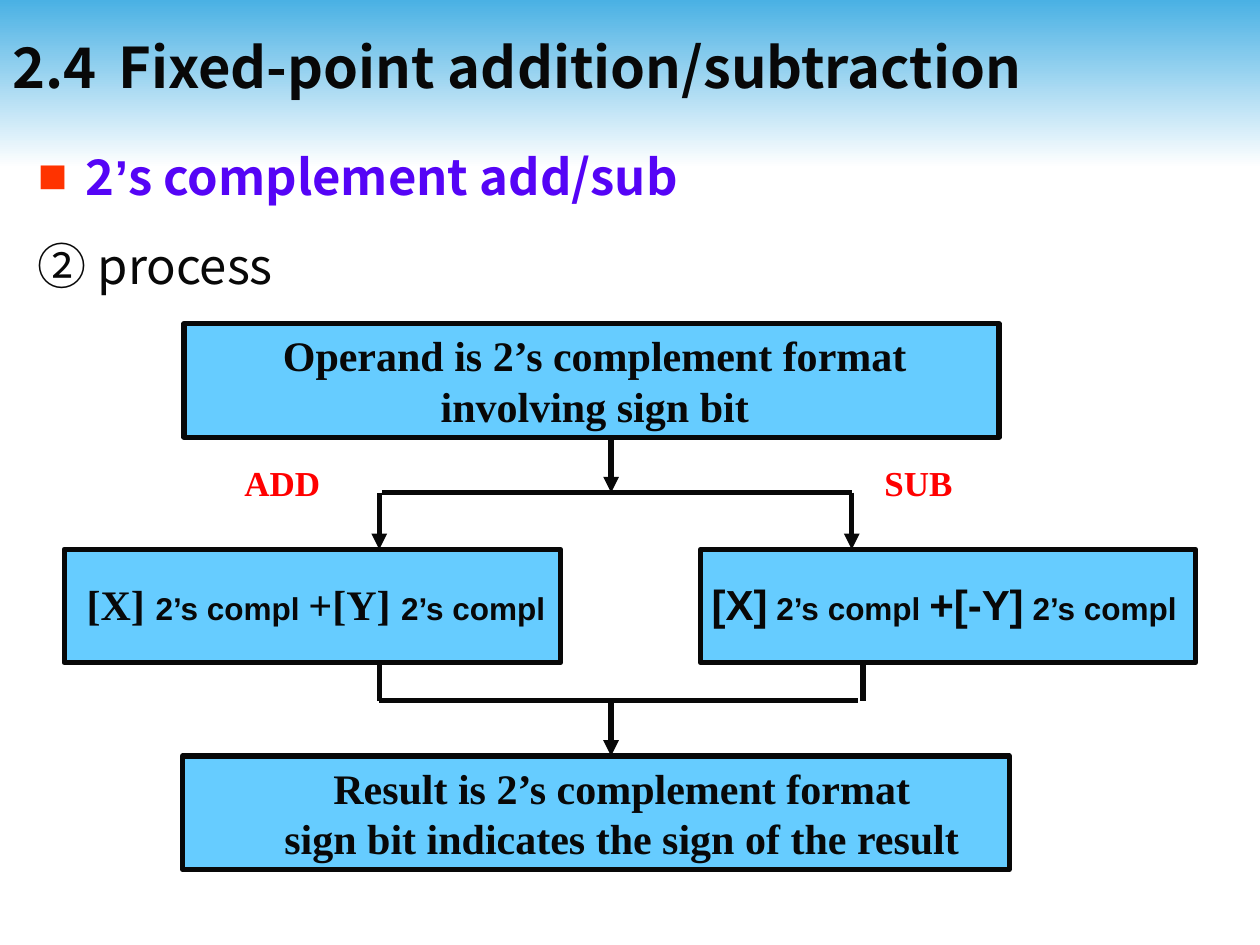
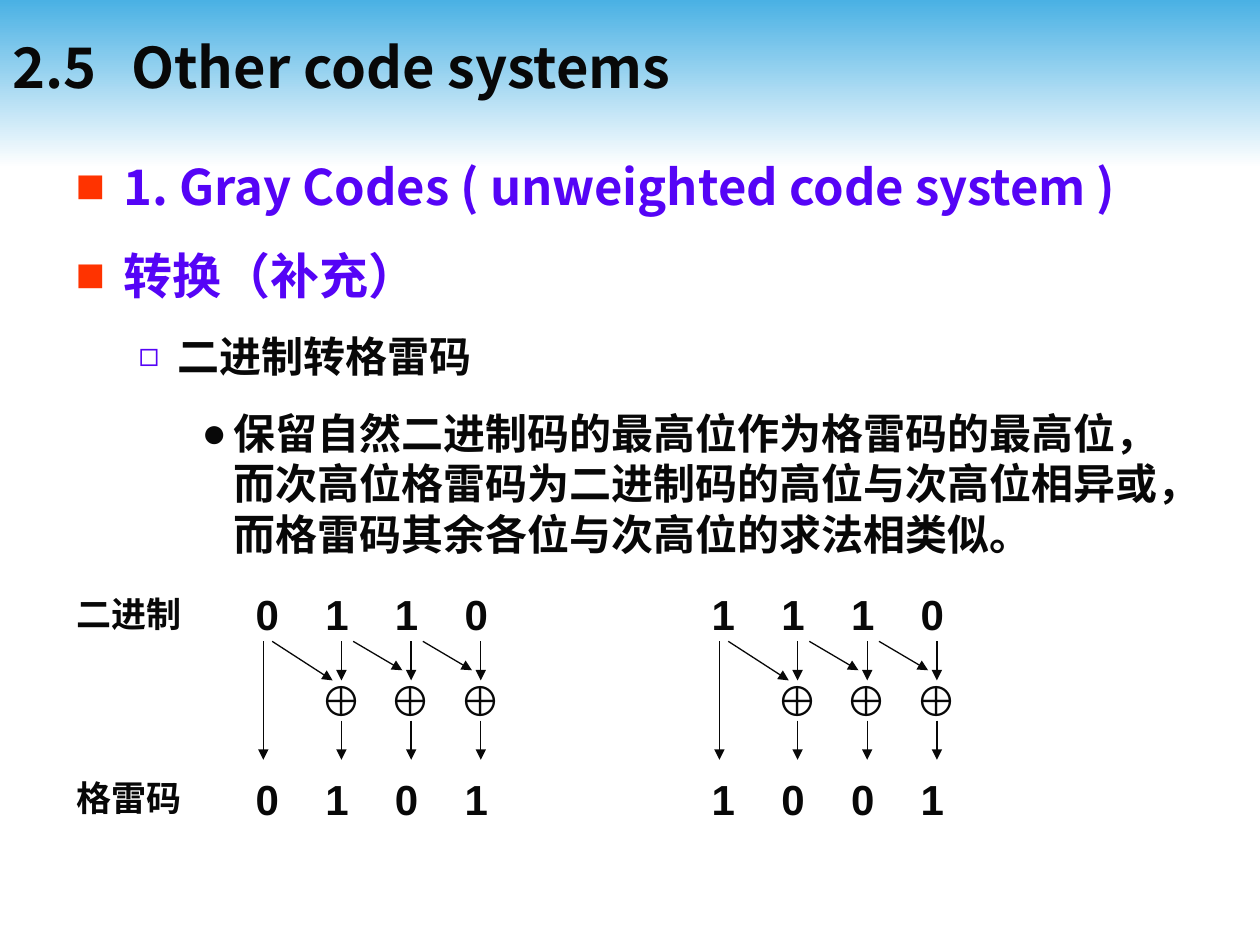
from lxml.etree import SubElement
from pptx import Presentation
from pptx.dml.color import RGBColor
from pptx.enum.shapes import MSO_CONNECTOR as Connector, MSO_SHAPE as Shape
from pptx.enum.text import MSO_ANCHOR as Anchor, MSO_AUTO_SIZE as AutoSize, PP_ALIGN as Align
from pptx.oxml.ns import qn
from pptx.util import Inches, Pt

COLUMNS, ROWS = 100, 75
CELL = Inches(0.1)
SANS, SERIF, CJK = "Arial", "Times New Roman", "Noto Sans CJK JP"
INK, PURPLE, RED, ORANGE = "080808", "5504F6", "FF0000", "FF3300"
SKY, BAND, WHITE = "66CCFF", "4AB1E4", "FFFFFF"
LEADING = 1.2


def color(value):
    return RGBColor.from_string(value)


def cells(*values):
    return [round(value * CELL) for value in values]


def write(paragraph, text, size=24, font=SANS, ink=INK, bold=True, align=Align.LEFT, before=0):
    runs = [(text, {})] if isinstance(text, str) else text
    sizes = []
    for words, changes in runs:
        run = paragraph.add_run()
        run.text = words
        sizes.append(changes.get("size", size))
        run.font.size = Pt(sizes[-1])
        run.font.name = changes.get("font", font)
        run.font.bold = bold
        run.font.color.rgb = color(ink)
        SubElement(run.font._element, qn("a:ea"), typeface=CJK)
    paragraph.alignment = align
    paragraph.line_spacing = Pt(LEADING * max(sizes))
    paragraph.space_before = Pt(before)
    paragraph.space_after = Pt(0)


def add_tabs(paragraph, *stops):
    tab_list = SubElement(paragraph._p.get_or_add_pPr(), qn("a:tabLst"))
    for stop in cells(*stops):
        SubElement(tab_list, qn("a:tab"), pos=str(stop), algn="l")


def add_bullet(paragraph, symbol, ink, percent, margin, hanging):
    properties = paragraph._p.get_or_add_pPr()
    left, indent = cells(margin, -hanging)
    properties.set("marL", str(left))
    properties.set("indent", str(indent))
    if not symbol:
        SubElement(properties, qn("a:buNone"))
        return
    bullet_color = SubElement(properties, qn("a:buClr"))
    SubElement(bullet_color, qn("a:srgbClr"), val=ink)
    SubElement(properties, qn("a:buSzPct"), val=str(percent * 1000))
    SubElement(properties, qn("a:buFont"), typeface=SANS)
    SubElement(properties, qn("a:buChar"), char=symbol)


class Deck:
    levels = {
        "heading": dict(bullet=("■", ORANGE, 100, 3.8, 3.8), level=0,
                        style=dict(size=28, font=CJK, ink=PURPLE), before=17.5),
        "plain": dict(bullet=(None, None, None, 3.8, 3.8), level=0,
                      style=dict(size=28, font=CJK, bold=False), before=17.5),
        "topic": dict(bullet=("◻", PURPLE, 80, 8.1, 3.1), level=1,
                      style=dict(font=SERIF), before=15),
        "detail": dict(bullet=("●", INK, 100, 12.5, 2.5), level=2,
                       style=dict(font=SANS), before=15),
    }

    def __init__(self):
        self.presentation = Presentation()
        self.presentation.slide_width, self.presentation.slide_height = cells(COLUMNS, ROWS)
        self.slide = self.shapes = None

    def add_band(self):
        band = self.rectangle(0, 0, COLUMNS, 13.3)
        band.line.fill.background()
        band.fill.gradient()
        band.fill.gradient_angle = 270
        for stop, value in zip(band.fill.gradient_stops, (BAND, WHITE)):
            stop.color.rgb = color(value)
        self.presentation.slide_master.shapes.element.insert(2, band.element)

    def new_slide(self, number, title, title_stop):
        first = self.slide is None
        self.slide = self.presentation.slides.add_slide(self.presentation.slide_layouts[1])
        self.shapes = self.slide.shapes
        if first:
            self.add_band()
        frame = self.place(self.shapes.title, 0, 0.5, 95.1, 9.5)
        frame.vertical_anchor = Anchor.MIDDLE
        add_tabs(frame.paragraphs[0], title_stop)
        write(frame.paragraphs[0], f"{number}\t{title}", size=32, font=CJK)

    def place(self, shape, left, top, width, height):
        shape.left, shape.top, shape.width, shape.height = cells(left, top, width, height)
        frame = shape.text_frame
        frame.auto_size = AutoSize.NONE
        frame.word_wrap = True
        return frame

    def body(self, box, items):
        frame = self.place(self.slide.placeholders[1], *box)
        frame.vertical_anchor = Anchor.TOP
        frame.margin_top = Inches(0.09)
        for index, (kind, text) in enumerate(items):
            paragraph = frame.add_paragraph() if index else frame.paragraphs[0]
            form = self.levels[kind]
            paragraph.level = form["level"]
            add_bullet(paragraph, *form["bullet"])
            write(paragraph, text, before=form["before"] if index else 0, **form["style"])

    def rectangle(self, left, top, width, height):
        shape = self.shapes.add_shape(Shape.RECTANGLE, *cells(left, top, width, height))
        shape.shadow.inherit = False
        shape.fill.solid()
        shape.fill.fore_color.rgb = color(SKY)
        shape.line.color.rgb = color(INK)
        shape.line.width = Pt(3)
        return shape

    def text(self, box, *lines, margin=True, tabs=(), **style):
        frame = self.shapes.add_textbox(*cells(*box)).text_frame
        frame.word_wrap = margin
        if not margin:
            frame.margin_left = frame.margin_right = frame.margin_top = frame.margin_bottom = 0
        for index, line in enumerate(lines):
            paragraph = frame.add_paragraph() if index else frame.paragraphs[0]
            if tabs:
                add_tabs(paragraph, *tabs)
            write(paragraph, line, **style)

    def line(self, x1, y1, x2, y2, width=3.0, arrow=False):
        connector = self.shapes.add_connector(Connector.STRAIGHT, *cells(x1, y1, x2, y2))
        connector.line.color.rgb = color(INK)
        connector.line.width = Pt(width)
        properties = connector.element.spPr
        if arrow:
            SubElement(properties.find(qn("a:ln")), qn("a:tailEnd"), type="triangle")
        SubElement(properties, qn("a:effectLst"))

    def gray_conversion(self, left, binary, gray):
        slide_shapes = self.shapes
        self.shapes = slide_shapes.add_group_shape().shapes
        pitch = 5.53
        stops = [pitch * step for step in range(1, len(binary))]
        for top, digits in ((46.2, binary), (60.9, gray)):
            self.text((left, top, 20.5, 5), "\t".join(digits), tabs=stops)
        thin = dict(width=0.75, arrow=True)
        self.line(left + 1.6, 50.9, left + 1.6, 60.3, **thin)
        for gate in range(len(binary) - 1):
            x = left + 7.8 + pitch * gate
            self.text((x - 1.7, 53.5, 3.3, 4), "⊕", margin=False)
            self.line(x, 50.9, x, 54, **thin)
            self.line(x, 57.2, x, 60.3, **thin)
            start, end = (4.6, 53.2) if gate else (5.5, 54)
            self.line(x - start, 50.9, x - 0.7, end, **thin)
        self.shapes = slide_shapes


def addition_slide(deck):
    deck.new_slide("2.4", "Fixed-point addition/subtraction", 8.4)
    deck.body((2, 10.7, 96.1, 60.6), [
        ("heading", [("2", {}), ("’", dict(font=SANS)), ("s complement add/sub", {})]),
        ("plain", "② process"),
    ])
    for left, top, width in ((14.6, 25.7, 64.7), (5.1, 43.6, 39.4),
                             (55.6, 43.6, 39.3), (14.5, 60, 65.6)):
        deck.rectangle(left, top, width, 9)
    centered = dict(font=SERIF, align=Align.CENTER)
    deck.text((15.3, 25.7, 63.8, 9), "Operand is 2’s complement format",
              "involving sign bit", **centered)
    deck.text((15.2, 60, 68.3, 9), "Result is 2’s complement format",
              "sign bit indicates the sign of the result", **centered)
    small = dict(size=18, font=SANS)
    deck.text((5.9, 45.4, 39.4, 5), [("[X] ", {}), ("2’s compl ", small),
                                     ("+[Y] ", {}), ("2’s compl", small)], font=SERIF)
    deck.text((55.5, 45.4, 39.4, 5), [("[X]", {}), (" 2’s compl ", small),
                                      ("+[-Y]", {}), (" 2’s compl", small)])
    add, middle, sub, split, merge = 30.1, 48.5, 67.6, 39.1, 55.6
    deck.line(add + 0.2, split, sub, split)
    deck.line(add, merge, sub + 0.5, merge)
    for x, start, end in ((middle, 34.6, split), (add, split, 43.6),
                          (sub, split, 43.6), (middle, merge, 60)):
        deck.line(x, start, x, end, arrow=True)
    for x in (add, sub + 0.9):
        deck.line(x, 52.6, x, merge)
    for left, label in ((18.4, "ADD"), (69.2, "SUB")):
        deck.text((left, 36.1, 10.9, 4.4), label, size=20, font=SERIF, ink=RED)


def gray_code_slide(deck):
    deck.new_slide("2.5", "Other code systems", 9.4)
    deck.body((5, 11.5, 90, 57.7), [
        ("heading", "1. Gray Codes ( unweighted code system )"),
        ("heading", "转换（补充）"),
        ("topic", "二进制转格雷码"),
        ("detail", "保留自然二进制码的最高位作为格雷码的最高位，而次高位格雷码为二进制码的"
                   "高位与次高位相异或，而格雷码其余各位与次高位的求法相类似。"),
    ])
    deck.gray_conversion(19.3, "0110", "0101")
    deck.gray_conversion(55.5, "1110", "1001")
    for top, label in ((46.5, "二进制"), (61.1, "格雷码")):
        deck.text((5.1, top, 11.8, 4.4), label, size=20)


def main():
    deck = Deck()
    addition_slide(deck)
    gray_code_slide(deck)
    deck.presentation.save("out.pptx")


if __name__ == "__main__":
    main()
